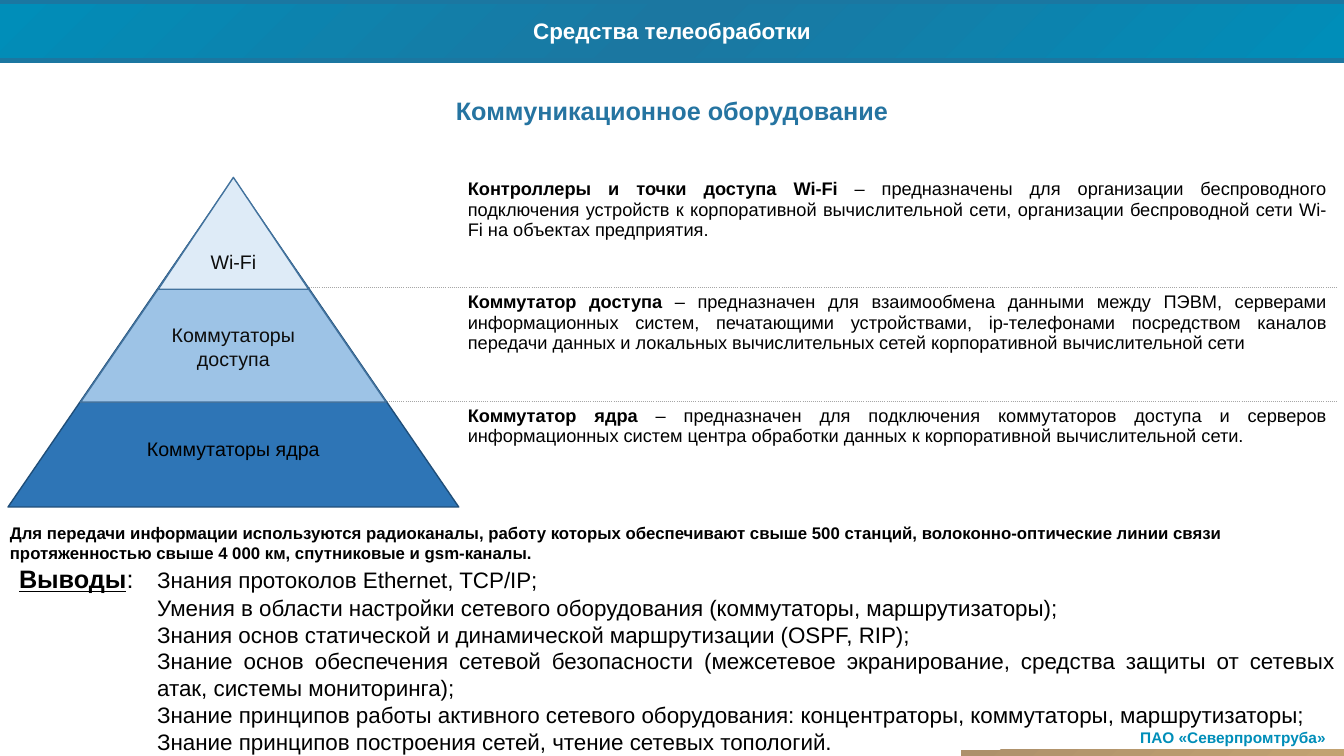
"""Build the slide on communication equipment for teleprocessing."""
import copy
from dataclasses import dataclass
from typing import Optional

import pptx
import pptx.dml.color
import pptx.enum.shapes
import pptx.enum.text
import pptx.oxml
import pptx.oxml.ns
import pptx.util

Inches = pptx.util.Inches
Pt = pptx.util.Pt
RGBColor = pptx.dml.color.RGBColor
Align = pptx.enum.text.PP_ALIGN
Anchor = pptx.enum.text.MSO_ANCHOR
Shape = pptx.enum.shapes.MSO_SHAPE
qn = pptx.oxml.ns.qn

WHITE = RGBColor(0xFF, 0xFF, 0xFF)
BLACK = RGBColor(0, 0, 0)
SOFT_BLACK = RGBColor(0x0D, 0x0D, 0x0D)
TEAL = RGBColor(0x00, 0x8E, 0xB9)
DEEP_TEAL = RGBColor(0x1B, 0x77, 0xA1)
HEADING_BLUE = RGBColor(0x25, 0x74, 0xA1)
SAND = RGBColor(0xAD, 0x90, 0x6B)
LIGHT_SAND = RGBColor(0xC2, 0xA2, 0x71)
CORE_BLUE = RGBColor(0x2E, 0x75, 0xB6)
CORE_EDGE = RGBColor(0x1F, 0x4E, 0x79)
ACCESS_BLUE = RGBColor(0x9D, 0xC3, 0xE6)
WIFI_BLUE = RGBColor(0xDE, 0xEB, 0xF7)
LEVEL_EDGE = RGBColor(0x43, 0x73, 0x9E)

SLIDE_WIDTH = 13.33
DIVIDER_XML = (
    '<a:{side} xmlns:a="http://schemas.openxmlformats.org/drawingml/2006/main" w="12700">'
    '<a:solidFill><a:srgbClr val="A6A6A6"/></a:solidFill><a:prstDash val="sysDot"/></a:{side}>'
)


@dataclass
class Level:
    label: str
    box: tuple[float, float, float, float]
    fill: RGBColor
    edge: RGBColor
    ink: RGBColor
    margin_top: float = 0.05


@dataclass
class Device:
    name: str
    purpose: str
    height: float


LEVELS = [
    Level("Коммутаторы ядра", (0.08, 1.77, 4.47, 3.26), CORE_BLUE, CORE_EDGE, BLACK, 0.53),
    Level("Коммутаторы доступа", (0.8, 1.78, 3.03, 2.21), ACCESS_BLUE, LEVEL_EDGE, SOFT_BLACK),
    Level("Wi-Fi", (1.57, 1.76, 1.49, 1.11), WIFI_BLUE, LEVEL_EDGE, SOFT_BLACK),
]
DEVICES = [
    Device("Контроллеры и точки доступа Wi-Fi",
           " – предназначены для организации беспроводного подключения устройств к корпоративной "
           "вычислительной сети, организации беспроводной сети Wi-Fi на объектах предприятия.", 1.12),
    Device("Коммутатор доступа",
           " – предназначен для взаимообмена данными между ПЭВМ, серверами информационных систем, "
           "печатающими устройствами, ip-телефонами посредством каналов передачи данных и локальных "
           "вычислительных сетей корпоративной вычислительной сети", 1.13),
    Device("Коммутатор ядра",
           " – предназначен для подключения коммутаторов доступа и серверов информационных систем "
           "центра обработки данных к корпоративной вычислительной сети.", 1.15),
]
CONCLUSIONS = [
    "Знания протоколов Ethernet, TCP/IP;",
    "Умения в области настройки сетевого оборудования (коммутаторы, маршрутизаторы);",
    "Знания основ статической и динамической маршрутизации (OSPF, RIP);",
    "Знание основ обеспечения сетевой безопасности (межсетевое экранирование, средства защиты "
    "от сетевых атак, системы мониторинга);",
    "Знание принципов работы активного сетевого оборудования: концентраторы, коммутаторы, "
    "маршрутизаторы;",
    "Знание принципов построения сетей, чтение сетевых топологий.",
]


def style_run(run, size: float, color: RGBColor, bold: bool = False) -> None:
    run.font.name = "Arial"
    run.font.size = Pt(size)
    run.font.bold = bold
    run.font.color.rgb = color


def add_run(paragraph, text: str, size: float, bold: bool = False):
    run = paragraph.add_run()
    run.text = text
    style_run(run, size, BLACK, bold)
    return run


def write(frame, text: str, size: float, color: RGBColor, bold: bool = False,
          align: Optional[Align] = Align.CENTER, wrap: bool = True) -> None:
    frame.text = text
    frame.word_wrap = wrap
    frame.paragraphs[0].alignment = align
    style_run(frame.paragraphs[0].runs[0], size, color, bold)


def set_indent(paragraph, left: float, first: float = 0) -> None:
    properties = paragraph._p.get_or_add_pPr()
    properties.set("marL", str(Inches(left)))
    properties.set("indent", str(Inches(first)))


def add_textbox(slide, box: tuple[float, float, float, float]):
    return slide.shapes.add_textbox(*map(Inches, box)).text_frame


def add_gradient_bar(slide, box: tuple[float, float, float, float], colors: list[RGBColor]):
    bar = slide.shapes.add_shape(Shape.RECTANGLE, *map(Inches, box))
    bar.shadow.inherit = False
    bar.line.fill.background()
    bar.fill.gradient()
    bar.fill.gradient_angle = 315
    stops = bar._element.spPr.find(".//" + qn("a:gsLst"))
    for _ in colors[2:]:
        stops.append(copy.deepcopy(stops[0]))
    for index, (stop, color) in enumerate(zip(bar.fill.gradient_stops, colors)):
        stop.position = index / (len(colors) - 1)
        stop.color.rgb = color
    return bar


def add_rule(slide, top: float) -> None:
    rule = slide.shapes.add_connector(pptx.enum.shapes.MSO_CONNECTOR.STRAIGHT, 0, Inches(top),
                                      Inches(SLIDE_WIDTH), Inches(top))
    rule.line.color.rgb = DEEP_TEAL
    rule.line.width = Pt(3)
    rule._element.spPr.append(pptx.oxml.parse_xml(
        '<a:effectLst xmlns:a="http://schemas.openxmlformats.org/drawingml/2006/main"/>'))


def add_devices(slide) -> None:
    table = slide.shapes.add_table(len(DEVICES), 1, Inches(2.57), Inches(1.73), Inches(10.68),
                                   Inches(sum(device.height for device in DEVICES))).table
    table.first_row = table.horz_banding = False
    for index, device in enumerate(DEVICES):
        table.rows[index].height = Inches(device.height)
        cell = table.cell(index, 0)
        paragraph = cell.text_frame.paragraphs[0]
        paragraph.alignment = Align.JUSTIFY
        set_indent(paragraph, 1.97)
        add_run(paragraph, device.name, 13, bold=True)
        add_run(paragraph, device.purpose, 13)
        properties = cell._tc.get_or_add_tcPr()
        sides = ["lnT"] * (index > 0) + ["lnB"] * (index < len(DEVICES) - 1)
        for side in sides:
            properties.append(pptx.oxml.parse_xml(DIVIDER_XML.format(side=side)))
        cell.fill.background()


def add_level(slide, level: Level) -> None:
    triangle = slide.shapes.add_shape(Shape.ISOSCELES_TRIANGLE, *map(Inches, level.box))
    triangle.shadow.inherit = False
    triangle.fill.solid()
    triangle.fill.fore_color.rgb = level.fill
    triangle.line.color.rgb = level.edge
    triangle.line.width = Pt(1)
    write(triangle.text_frame, level.label, 14, level.ink)
    triangle.text_frame.vertical_anchor = Anchor.MIDDLE
    triangle.text_frame.margin_top = Inches(level.margin_top)


def add_conclusions(slide) -> None:
    frame = add_textbox(slide, (0.09, 5.53, 13.25, 2.02))
    frame.word_wrap = True
    frame.vertical_anchor = Anchor.MIDDLE
    for index, conclusion in enumerate(CONCLUSIONS):
        paragraph = frame.add_paragraph() if index else frame.paragraphs[0]
        paragraph.alignment = Align.JUSTIFY
        set_indent(paragraph, 1.37, 0 if index else -1.37)
        if index == 0:
            add_run(paragraph, "Выводы", 18, bold=True).font.underline = True
            add_run(paragraph, ":\t", 18)
        add_run(paragraph, conclusion, 16)


def main() -> None:
    deck = pptx.Presentation()
    deck.slide_width, deck.slide_height = Inches(SLIDE_WIDTH), Inches(7.5)
    slide = deck.slides.add_slide(deck.slide_layouts[5])
    heading = slide.shapes.title
    heading.left, heading.top, heading.width, heading.height = map(Inches, (0, 0.9, SLIDE_WIDTH, 0.4))
    write(heading.text_frame, "Коммуникационное оборудование", 18, HEADING_BLUE, bold=True)
    heading.text_frame.vertical_anchor = Anchor.TOP
    header = add_gradient_bar(slide, (0, 0.02, SLIDE_WIDTH, 0.56), [TEAL, DEEP_TEAL, TEAL])
    write(header.text_frame, "Средства телеобработки", 16, WHITE, bold=True, wrap=False)
    header.text_frame.vertical_anchor = Anchor.MIDDLE
    for top in (0.6, 0.02):
        add_rule(slide, top)
    write(add_textbox(slide, (11.13, 7.17, 2.2, 0.29)), "ПАО «Северпромтруба»", 11, TEAL, bold=True)
    add_gradient_bar(slide, (9.53, 7.44, 3.81, 0.06), [SAND, LIGHT_SAND])
    add_devices(slide)
    for level in LEVELS:
        add_level(slide, level)
    write(add_textbox(slide, (0, 5.14, SLIDE_WIDTH, 0.5)),
          "Для передачи информации используются радиоканалы, работу которых обеспечивают свыше "
          "500 станций, волоконно-оптические линии связи протяженностью свыше 4\u00a0000 км, "
          "спутниковые и gsm-каналы.", 12, BLACK, bold=True, align=None)
    add_conclusions(slide)
    deck.save("out.pptx")


if __name__ == "__main__":
    main()
